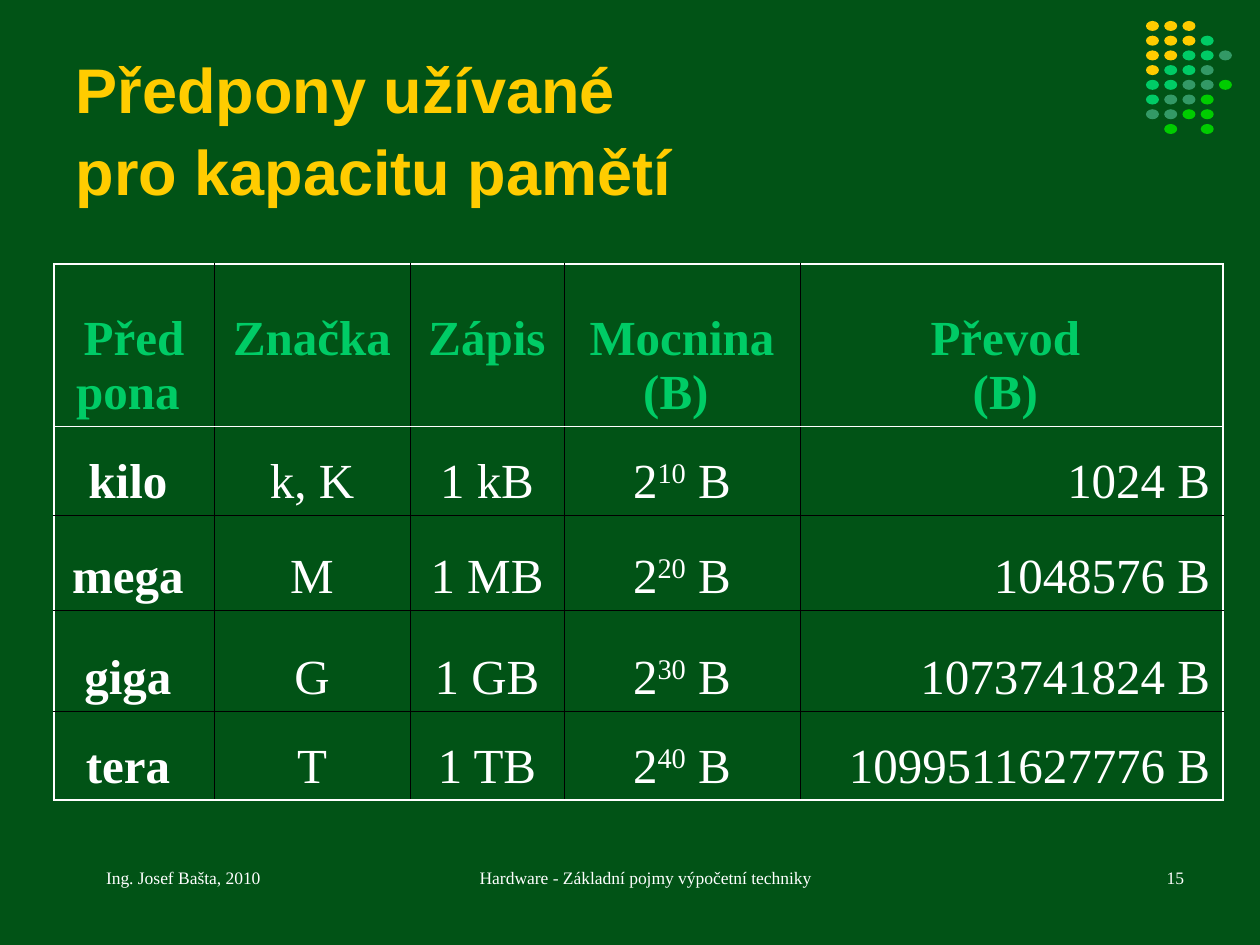
from dataclasses import dataclass
from typing import NamedTuple

from pptx import Presentation
from pptx import util as u
from pptx.dml.color import RGBColor
from pptx.enum import shapes, text
from pptx.oxml import parse_xml
from pptx.oxml.ns import nsdecls

EMU_PER_PX = 914400 / 126
CENTER, RIGHT, LEFT = text.PP_ALIGN.CENTER, text.PP_ALIGN.RIGHT, text.PP_ALIGN.LEFT


@dataclass(frozen=True)
class Theme:
    background: str = "015316"
    title: str = "FFCC00"
    header: str = "00CC66"
    body: str = "FFFFFF"
    grid: str = "000000"
    teal: str = "339966"
    lime: str = "00CC00"
    sans: str = "Arial"
    serif: str = "Times New Roman"
    title_pt: int = 36
    table_pt: int = 28
    footer_pt: int = 10
    frame_line_pt: float = 1.08
    grid_line_pt: float = 0.45


class Box(NamedTuple):
    x: int
    y: int
    w: int
    h: int


class Prefix(NamedTuple):
    name: str
    symbol: str
    notation: str
    power: int
    size: str


class Footer(NamedTuple):
    box: Box
    text: str
    align: text.PP_ALIGN


THEME = Theme()
DOT_COLORS = {"Y": THEME.title, "G": THEME.header, "T": THEME.teal, "L": THEME.lime}
DOT_ROWS = ["YYY", "YYYG", "YYGGT", "YGGT", "GGTTL", "GTTL", "TTLL", " L L"]
DOT_AREA = Box(1146, 21, 73, 103)  # from the first dot's corner to the last one's
DOT_W, DOT_H = 13, 10

TITLE = "Předpony užívané \vpro kapacitu pamětí"
TITLE_BOX = Box(63, 16, 1040, 198)
TABLE_X, TABLE_Y = 54, 264
COLUMNS = [160, 196, 154, 236, 423]
ROWS = [162, 89, 95, 101, 89]
HEADER_LINE = 54
INSET_X, INSET_Y = 13, 6
HEADERS = [["Před", "pona "], ["Značka"], ["Zápis"], ["Mocnina", "(B) "], ["Převod ", "(B) "]]
PREFIXES = [
    Prefix("kilo ", "k, K", "1 kB", 10, "1024 B"),
    Prefix("mega ", "M", "1 MB", 20, "1048576 B"),
    Prefix("giga ", "G", "1 GB", 30, "1073741824 B"),
    Prefix("tera ", "T", "1 TB", 40, "1099511627776 B"),
]
FOOTER_INDENT = 30
FOOTERS = [
    Footer(Box(63, 861, 294, 63), "Ing. Josef Bašta, 2010", LEFT),
    Footer(Box(431, 861, 399, 63), "Hardware - Základní pojmy výpočetní techniky", CENTER),
    Footer(Box(903, 861, 294, 63), "15", RIGHT),
]


def px(n: float) -> u.Emu:
    return u.Emu(round(n * EMU_PER_PX))


def style(p, font: str, size: int, color: str, bold: bool = False, align=LEFT) -> None:
    p.alignment = align
    p.font.name, p.font.size, p.font.bold = font, u.Pt(size), bold
    p.font.color.rgb = RGBColor.from_string(color)


def add_text_box(slide, box: Box, anchor, indent: int = 0):
    """Add an empty wrapping text box and return its text frame."""
    tf = slide.shapes.add_textbox(*map(px, box)).text_frame
    tf.word_wrap = True
    tf.vertical_anchor = anchor
    tf.margin_left, tf.margin_right = px(INSET_X + indent), px(INSET_X)
    tf.margin_top = tf.margin_bottom = px(INSET_Y)
    return tf


def add_dots(slide) -> None:
    group = slide.shapes.add_group_shape()
    x_step, y_step = DOT_AREA.w / 4, DOT_AREA.h / (len(DOT_ROWS) - 1)
    for row, codes in enumerate(DOT_ROWS):
        for col, code in enumerate(codes):
            if code == " ":
                continue
            sp = group.shapes.add_shape(
                shapes.MSO_SHAPE.OVAL, px(DOT_AREA.x + col * x_step),
                px(DOT_AREA.y + row * y_step), px(DOT_W), px(DOT_H))
            sp.shadow.inherit = False
            sp.fill.solid()
            sp.fill.fore_color.rgb = RGBColor.from_string(DOT_COLORS[code])
            sp.line.fill.background()


def add_title(slide) -> None:
    p = add_text_box(slide, TITLE_BOX, text.MSO_ANCHOR.BOTTOM).paragraphs[0]
    p.text = TITLE
    p.line_spacing = 1.08
    style(p, THEME.sans, THEME.title_pt, THEME.title, bold=True)


def set_borders(cell, row: int, col: int) -> None:
    """White frame, thin white rule below the header, thin black lines elsewhere."""
    frame = (THEME.body, THEME.frame_line_pt)
    rule = (THEME.body, THEME.grid_line_pt)
    grid = (THEME.grid, THEME.grid_line_pt)
    sides = {
        "lnL": frame if col == 0 else grid,
        "lnR": frame if col == len(COLUMNS) - 1 else grid,
        "lnT": frame if row == 0 else rule if row == 1 else grid,
        "lnB": frame if row == len(ROWS) - 1 else rule if row == 0 else grid,
    }
    tc_pr = cell._tc.get_or_add_tcPr()
    for tag, (color, width) in sides.items():
        tc_pr.append(parse_xml(
            f'<a:{tag} {nsdecls("a")} w="{u.Pt(width)}"><a:solidFill>'
            f'<a:srgbClr val="{color}"/></a:solidFill></a:{tag}>'))


def fill_header(cell, lines: list[str]) -> None:
    cell.text = "\n".join(lines)
    if len(lines) == 1:  # keep single lines level with the first of two
        cell.margin_bottom = px(INSET_Y + HEADER_LINE)
    for p in cell.text_frame.paragraphs:
        style(p, THEME.serif, THEME.table_pt, THEME.header, bold=True, align=CENTER)


def fill_value(cell, value: str | int, col: int) -> None:
    """Write a value; a whole number becomes a power of two in bytes."""
    p = cell.text_frame.paragraphs[0]
    if isinstance(value, int):
        for part in ("2", str(value), " B"):
            r = p.add_run()
            r.text = part
            if part == str(value):
                r._r.get_or_add_rPr().set("baseline", "30000")
    else:
        p.text = value
    align = RIGHT if col == len(COLUMNS) - 1 else CENTER
    style(p, THEME.serif, THEME.table_pt, THEME.body, bold=col == 0, align=align)


def add_prefix_table(slide) -> None:
    box = Box(TABLE_X, TABLE_Y, sum(COLUMNS), sum(ROWS))
    table = slide.shapes.add_table(len(ROWS), len(COLUMNS), *map(px, box)).table
    table.first_row = table.horz_banding = False
    for column, width in zip(table.columns, COLUMNS):
        column.width = px(width)
    for row, (height, values) in enumerate(zip(ROWS, [HEADERS, *PREFIXES])):
        table.rows[row].height = px(height)
        for col, value in enumerate(values):
            cell = table.cell(row, col)
            cell.vertical_anchor = text.MSO_ANCHOR.BOTTOM
            cell.margin_left = cell.margin_right = px(INSET_X)
            cell.margin_top = cell.margin_bottom = px(INSET_Y)
            set_borders(cell, row, col)
            cell.fill.background()
            if row == 0:
                fill_header(cell, value)
            else:
                fill_value(cell, value, col)


def add_footer(slide, footer: Footer) -> None:
    p = add_text_box(slide, footer.box, text.MSO_ANCHOR.TOP, FOOTER_INDENT).paragraphs[0]
    p.text = footer.text
    style(p, THEME.serif, THEME.footer_pt, THEME.body, align=footer.align)


def main() -> None:
    prs = Presentation()
    prs.slide_width, prs.slide_height = px(1260), px(945)
    s = prs.slides.add_slide(prs.slide_layouts[6])
    s.background.fill.solid()
    s.background.fill.fore_color.rgb = RGBColor.from_string(THEME.background)
    add_dots(s)
    add_title(s)
    add_prefix_table(s)
    for footer in FOOTERS:
        add_footer(s, footer)
    prs.save("out.pptx")


if __name__ == "__main__":
    main()
